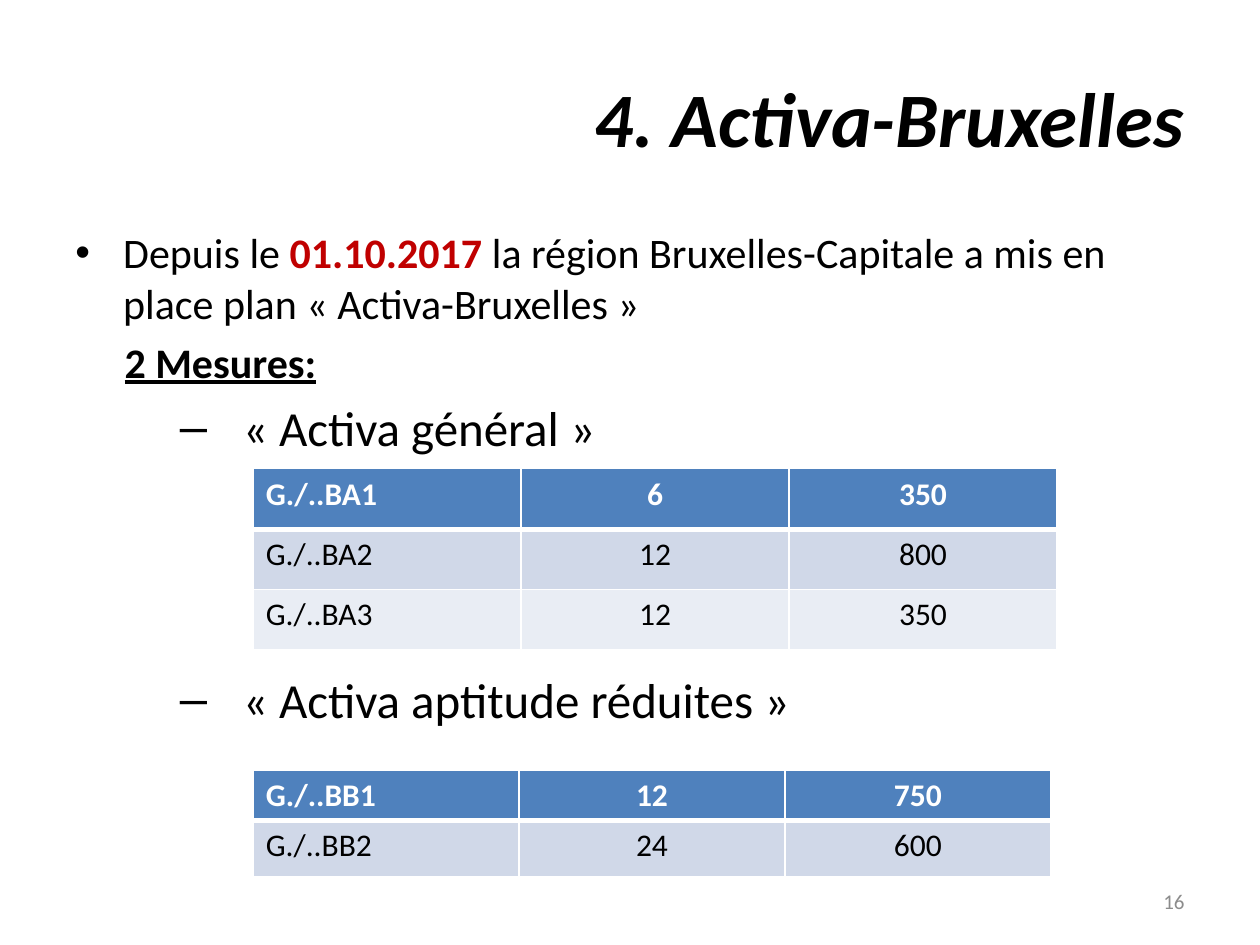
"""Build the Activa-Bruxelles slide with its two tables of measures."""
from dataclasses import dataclass

from lxml import etree
from pptx import Presentation
from pptx.dml.color import RGBColor
from pptx.enum.text import MSO_ANCHOR, PP_ALIGN
from pptx.oxml.ns import qn
from pptx.util import Inches, Pt

LEFT, MID, RIGHT = PP_ALIGN.LEFT, PP_ALIGN.CENTER, PP_ALIGN.RIGHT
TOP, CENTRE = MSO_ANCHOR.TOP, MSO_ANCHOR.MIDDLE


@dataclass(frozen=True)
class Theme:
    font: str = "Calibri"
    ink: str = "000000"
    white: str = "FFFFFF"
    red: str = "C00000"
    grey: str = "8C8C8C"
    head: str = "4F81BD"
    bands: tuple = ("D0D8E8", "E9EDF4")
    title: int = 44
    sub: int = 28
    body: int = 24
    cell: int = 18
    note: int = 12


class Deck:
    def __init__(self, theme):
        self.theme = theme
        self.prs = Presentation()
        self.prs.slide_width, self.prs.slide_height = Inches(10), Inches(7.5)
        self.slide = self.prs.slides.add_slide(self.prs.slide_layouts[6])

    def run(self, para, text, size, color=None, **style):
        run = para.add_run()
        run.text = text
        style = {"name": self.theme.font, "size": Pt(size), **style}
        for key, value in style.items():
            setattr(run.font, key, value)
        run.font.color.rgb = RGBColor.from_string(color or self.theme.ink)

    def box(self, left, top, width, height, anchor=TOP):
        shape = self.slide.shapes.add_textbox(
            Inches(left), Inches(top), Inches(width), Inches(height))
        frame = shape.text_frame
        frame.word_wrap = True
        frame.vertical_anchor = anchor
        return frame

    def line(self, area, text, size, anchor=CENTRE, **style):
        para = self.box(*area, anchor).paragraphs[0]
        para.alignment = RIGHT
        self.run(para, text, size, **style)

    def item(self, para, runs, size, margin, hang=0, mark=None, gap=0):
        props = para._p.get_or_add_pPr()
        props.set("marL", str(Inches(margin)))
        props.set("indent", str(Inches(-hang)))
        if mark:
            etree.SubElement(props, qn("a:buFont")).set("typeface", "Arial")
            etree.SubElement(props, qn("a:buChar")).set("char", mark)
        else:
            etree.SubElement(props, qn("a:buNone"))
        para.space_before = Pt(gap)
        for text, style in runs:
            self.run(para, text, size, **style)

    def list(self, area, items):
        frame = self.box(*area)
        for i, item in enumerate(items):
            para = frame.add_paragraph() if i else frame.paragraphs[0]
            self.item(para, **item)

    def edge(self, cell, side, width):
        line = etree.SubElement(cell._tc.get_or_add_tcPr(), qn(f"a:ln{side}"))
        line.set("w", str(Pt(width)))
        fill = etree.SubElement(line, qn("a:solidFill"))
        etree.SubElement(fill, qn("a:srgbClr")).set("val", self.theme.white)

    def table(self, left, top, width, heights, rows):
        theme = self.theme
        cols = len(rows[0])
        table = self.slide.shapes.add_table(
            len(rows), cols, Inches(left), Inches(top),
            Inches(width), Inches(sum(heights))).table
        table.horz_banding = False
        for col in table.columns:
            col.width = Inches(width / cols)
        for r, (height, row) in enumerate(zip(heights, rows)):
            table.rows[r].height = Inches(height)
            head = r == 0
            fill = theme.head if head else theme.bands[(r - 1) % 2]
            for c, text in enumerate(row):
                cell = table.cell(r, c)
                for side in "LRTB":
                    thick = (side, r) in (("B", 0), ("T", 1))
                    self.edge(cell, side, 3 if thick else 1)
                cell.fill.solid()
                cell.fill.fore_color.rgb = RGBColor.from_string(fill)
                para = cell.text_frame.paragraphs[0]
                para.alignment = MID if c else LEFT
                self.run(para, text, theme.cell,
                         theme.white if head else theme.ink, bold=head)

    def save(self):
        self.prs.save("out.pptx")


def main():
    theme = Theme()
    deck = Deck(theme)
    deck.line((0.5, 0.3, 9, 1.25), "4. Activa-Bruxelles", theme.title,
              bold=True, italic=True)
    intro = [
        ("Depuis le ", {}),
        ("01.10.2017", {"color": theme.red, "bold": True}),
        (" la région Bruxelles-Capitale a mis en place plan"
         " « Activa-Bruxelles »", {}),
    ]
    dash = {"size": theme.sub, "margin": 1.33, "hang": 0.5, "mark": "–"}
    deck.list((0.5, 1.75, 9, 4.95), [
        {"runs": intro, "size": theme.body, "margin": 0.38, "hang": 0.38,
         "mark": "•"},
        {"runs": [("2 Mesures:", {"bold": True, "underline": True})],
         "size": theme.body, "margin": 0.39, "gap": 5},
        {"runs": [("« Activa général »", {})], "gap": 6, **dash},
        {"runs": [("« Activa aptitude réduites »", {})], "gap": 122, **dash},
    ])
    deck.line((7.17, 6.95, 2.33, 0.4), "16", theme.note, color=theme.grey)
    deck.table(2.01, 3.72, 6.38, [0.48] * 3, [
        ("G./..BA1", "6", "350"),
        ("G./..BA2", "12", "800"),
        ("G./..BA3", "12", "350"),
    ])
    deck.table(2.01, 6.11, 6.33, [0.4, 0.45], [
        ("G./..BB1", "12", "750"),
        ("G./..BB2", "24", "600"),
    ])
    deck.save()


if __name__ == "__main__":
    main()
